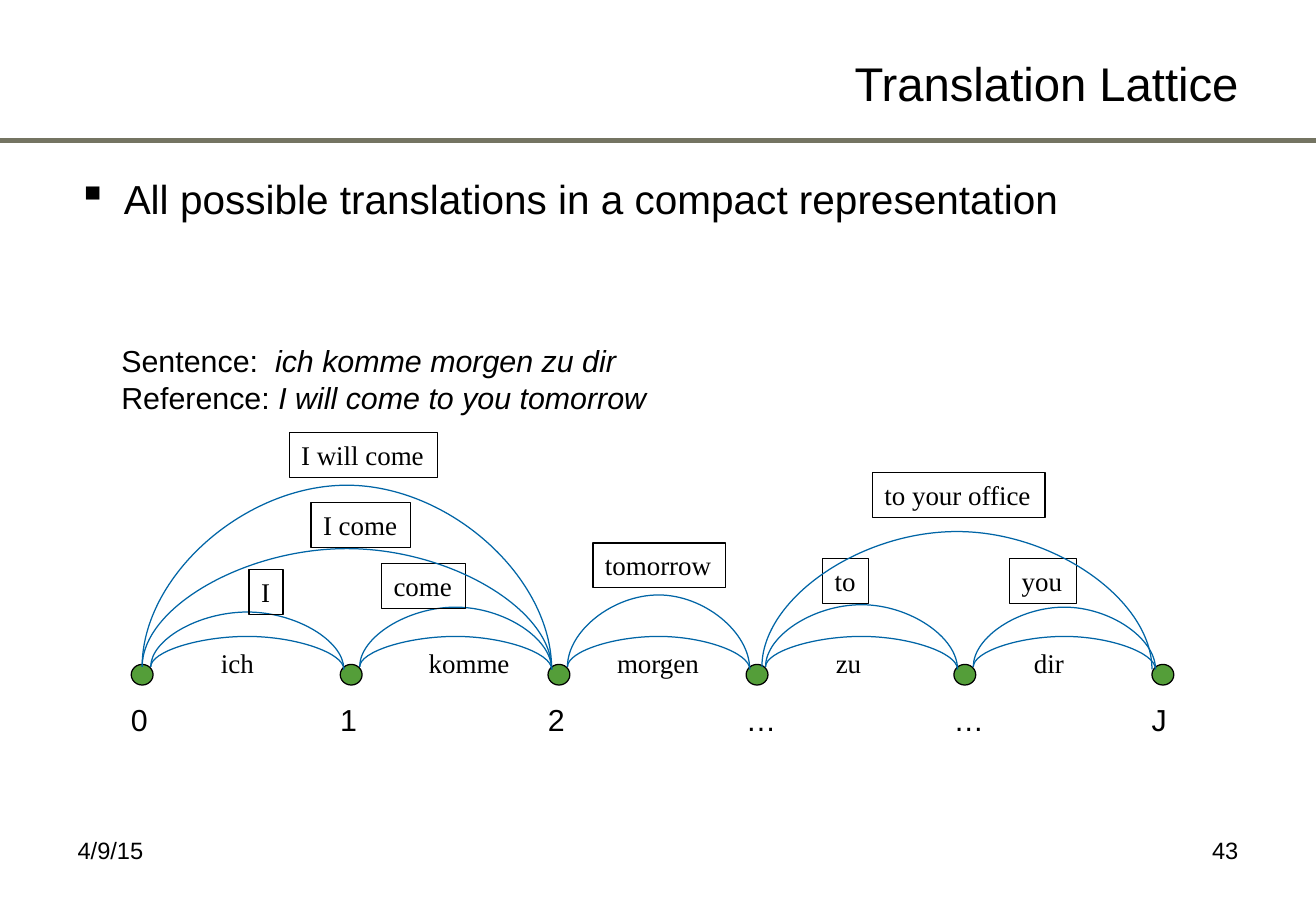
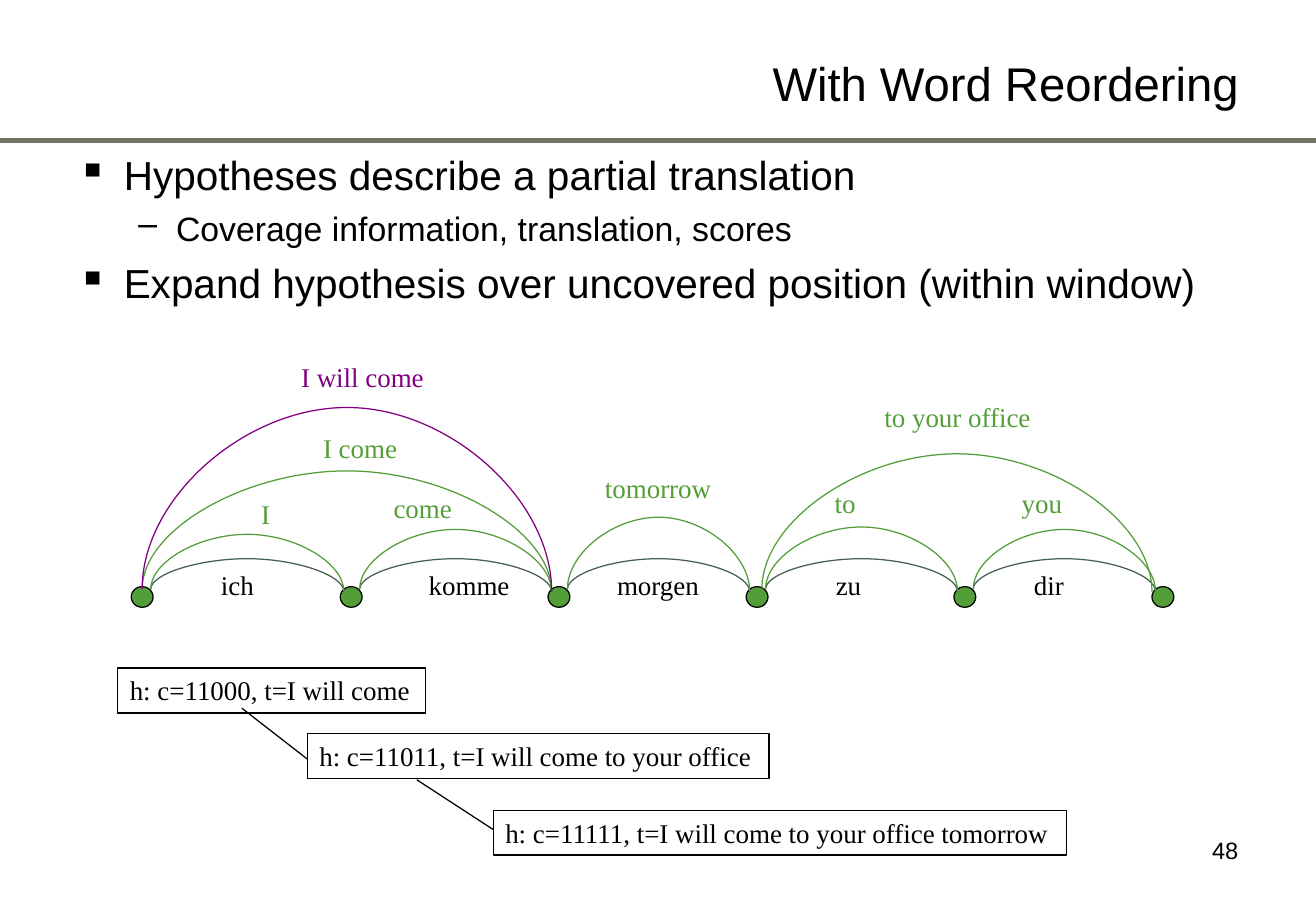
from typing import NamedTuple

import pptx
import pptx.dml.color
import pptx.enum.shapes
import pptx.enum.text
import pptx.oxml.ns
import pptx.oxml.xmlchemy
import pptx.presentation
import pptx.shapes.connector
import pptx.slide
import pptx.text.text
import pptx.util
from pptx.dml.color import RGBColor
from pptx.util import Inches

BLACK = RGBColor(0x00, 0x00, 0x00)
RULE_GREY = RGBColor(0x74, 0x74, 0x62)
BLUE = RGBColor(0x00, 0x65, 0xA6)
GREEN = RGBColor(0x54, 0x9E, 0x39)
DARK_GREEN = RGBColor(0x45, 0x5F, 0x51)
PURPLE = RGBColor(0x80, 0x00, 0x80)

SANS = "Arial"
SERIF = "Times New Roman"
SLIDE_WIDTH = 10.83
LABEL_HEIGHT = 0.37
THIN = 0.75

CONNECTOR = pptx.enum.shapes.MSO_CONNECTOR
ALIGN = pptx.enum.text.PP_ALIGN
ANCHOR = pptx.enum.text.MSO_ANCHOR


class Box(NamedTuple):
    left: float
    top: float
    width: float
    height: float


class Point(NamedTuple):
    x: float
    y: float


class Word(NamedTuple):
    """A source word below the arc from one node to the next."""
    text: str
    left: float
    width: float


class Phrase(NamedTuple):
    """A translation; label_lift and rise are measured up from the nodes."""
    text: str
    left: float
    width: float
    label_lift: float
    first_node: int
    last_node: int
    rise: float
    start_shift: float = 0.16
    end_shift: float = 0.03


class BulletStyle(NamedTuple):
    character: str
    indent: float
    hanging: float
    size: int
    space_before: int


class Colors(NamedTuple):
    word_arc: RGBColor
    phrase_arc: RGBColor
    phrase_text: RGBColor
    longest_arc: RGBColor
    longest_text: RGBColor


NODE_LEFTS = (1.08, 2.8, 4.51, 6.14, 7.85, 9.48)
NODE_WIDTH, NODE_HEIGHT = 0.18, 0.17
ARC_DROP = 0.02
WORD_ARC_RISE = 0.25
WORDS = (
    Word("ich", 1.72, 0.48),
    Word("komme", 3.43, 0.88),
    Word("morgen", 4.98, 0.88),
    Word("zu", 6.78, 0.41),
    Word("dir", 8.41, 0.45),
)
LONGEST = "I will come"
PHRASES = (
    Phrase("I", 2.05, 0.28, 0.78, 0, 1, 0.45),
    Phrase("come", 3.14, 0.69, 0.83, 1, 2, 0.49),
    Phrase("tomorrow", 4.88, 1.09, 1.0, 2, 3, 0.59),
    Phrase("to", 6.77, 0.38, 0.87, 3, 4, 0.51),
    Phrase("you", 8.31, 0.55, 0.87, 4, 5, 0.49),
    Phrase("I come", 2.56, 0.82, 1.33, 0, 2, 0.97, start_shift=0.09),
    Phrase(LONGEST, 2.38, 1.22, 1.91, 0, 2, 1.49, start_shift=0.09),
    Phrase("to your office", 7.18, 1.42, 1.58, 3, 5, 1.11, 0.13, 0),
)
NODE_LABELS = (("0", 0.34), ("1", 0.34), ("2", 0.34), ("…", 0.45), ("…", 0.45), ("J", 0.33))

LEVELS = (
    BulletStyle("▪", 0.38, 0.38, 24, 6),
    BulletStyle("–", 0.81, 0.31, 20, 5),
)
LATTICE_COLORS = Colors(BLUE, BLUE, BLACK, BLUE, BLACK)
REORDERING_COLORS = Colors(DARK_GREEN, GREEN, GREEN, PURPLE, PURPLE)

HYPOTHESES = (
    ("h: c=11000, t=I will come", Box(0.97, 5.5, 2.53, LABEL_HEIGHT)),
    ("h: c=11011, t=I will come to your office", Box(2.53, 6.04, 3.8, LABEL_HEIGHT)),
    ("h: c=11111, t=I will come to your office tomorrow", Box(4.06, 6.67, 4.72, LABEL_HEIGHT)),
)
HYPOTHESIS_LINKS = (
    (Point(1.99, 5.83), Point(2.53, 6.25)),
    (Point(3.43, 6.42), Point(4.06, 6.83)),
)


def add_text(
    slide: pptx.slide.Slide,
    box: Box,
    text: str,
    size: int,
    font: str = SANS,
    color: RGBColor = BLACK,
    align: ALIGN = ALIGN.LEFT,
    wrap: bool = True,
    outlined: bool = False,
) -> pptx.text.text.TextFrame:
    shape = slide.shapes.add_textbox(*map(Inches, box))
    if outlined:
        shape.line.color.rgb = BLACK
        shape.line.width = pptx.util.Pt(THIN)
    text_frame = shape.text_frame
    text_frame.word_wrap = wrap
    text_frame.text = text
    for paragraph in text_frame.paragraphs:
        paragraph.alignment = align
        for run in paragraph.runs:
            run.font.name = font
            run.font.size = pptx.util.Pt(size)
            run.font.color.rgb = color
    return text_frame


def add_label(
    slide: pptx.slide.Slide, box: Box, text: str, color: RGBColor = BLACK, outlined: bool = False
) -> None:
    add_text(slide, box, text, 16, SERIF, color, wrap=False, outlined=outlined)


def add_line(
    slide: pptx.slide.Slide,
    start: Point,
    end: Point,
    color: RGBColor = BLACK,
    weight: float = THIN,
    kind: CONNECTOR = CONNECTOR.STRAIGHT,
) -> pptx.shapes.connector.Connector:
    line = slide.shapes.add_connector(kind, *map(Inches, (*start, *end)))
    line.line.color.rgb = color
    line.line.width = pptx.util.Pt(weight)
    line._element.spPr.append(pptx.oxml.xmlchemy.OxmlElement("a:effectLst"))
    return line


def add_arc(
    slide: pptx.slide.Slide, start_x: float, end_x: float, top: float, rise: float, color: RGBColor
) -> None:
    """Turn an upright curved connector a quarter so that it bows upwards."""
    span = end_x - start_x
    left = (start_x + end_x - ARC_DROP) / 2
    box_top = top + (ARC_DROP - span) / 2
    arc = add_line(
        slide,
        Point(left, box_top + span),
        Point(left + ARC_DROP, box_top),
        color,
        kind=CONNECTOR.CURVE,
    )
    properties = arc._element.spPr
    properties.find(pptx.oxml.ns.qn("a:xfrm")).set("rot", str(90 * 60000))
    geometry = properties.find(pptx.oxml.ns.qn("a:prstGeom"))
    adjustments = geometry.find(pptx.oxml.ns.qn("a:avLst"))
    if adjustments is None:
        adjustments = pptx.oxml.xmlchemy.OxmlElement("a:avLst")
        geometry.append(adjustments)
    guide = pptx.oxml.xmlchemy.OxmlElement("a:gd")
    guide.set("name", "adj1")
    guide.set("fmla", f"val {round(-rise / ARC_DROP * 100000)}")
    adjustments.append(guide)


def add_node(slide: pptx.slide.Slide, left: float, top: float) -> None:
    node = slide.shapes.add_shape(
        pptx.enum.shapes.MSO_SHAPE.OVAL, *map(Inches, (left, top, NODE_WIDTH, NODE_HEIGHT))
    )
    node.shadow.inherit = False
    node.fill.solid()
    node.fill.fore_color.rgb = GREEN
    node.line.color.rgb = BLACK
    node.line.width = pptx.util.Pt(THIN)


def add_lattice(slide: pptx.slide.Slide, top: float, colors: Colors, outlined: bool) -> None:
    arc_top = top + ARC_DROP
    for left in NODE_LEFTS:
        add_node(slide, left, top)
    for word, left, next_left in zip(WORDS, NODE_LEFTS, NODE_LEFTS[1:]):
        add_arc(slide, left + 0.16, next_left + 0.03, arc_top, WORD_ARC_RISE, colors.word_arc)
        add_label(slide, Box(word.left, top - 0.2, word.width, LABEL_HEIGHT), word.text)
    for phrase in PHRASES:
        longest = phrase.text == LONGEST
        add_arc(
            slide,
            NODE_LEFTS[phrase.first_node] + phrase.start_shift,
            NODE_LEFTS[phrase.last_node] + phrase.end_shift,
            arc_top,
            phrase.rise,
            colors.longest_arc if longest else colors.phrase_arc,
        )
        add_label(
            slide,
            Box(phrase.left, top - phrase.label_lift, phrase.width, LABEL_HEIGHT),
            phrase.text,
            colors.longest_text if longest else colors.phrase_text,
            outlined,
        )


def add_bullets(slide: pptx.slide.Slide, box: Box, items: list[tuple[int, str]]) -> None:
    text_frame = add_text(slide, box, "\n".join(text for _, text in items), LEVELS[0].size)
    for index, (paragraph, (level, _)) in enumerate(zip(text_frame.paragraphs, items)):
        style = LEVELS[level]
        paragraph.level = level
        if index:
            paragraph.space_before = pptx.util.Pt(style.space_before)
        properties = paragraph._p.get_or_add_pPr()
        properties.set("marL", str(Inches(style.indent)))
        properties.set("indent", str(-Inches(style.hanging)))
        bullet = pptx.oxml.xmlchemy.OxmlElement("a:buChar")
        bullet.set("char", style.character)
        properties.append(bullet)
        paragraph.runs[0].font.size = pptx.util.Pt(style.size)


def add_base_slide(
    presentation: pptx.presentation.Presentation, title: str, number: str
) -> pptx.slide.Slide:
    slide = presentation.slides.add_slide(presentation.slide_layouts[6])
    add_line(slide, Point(0, 1.16), Point(SLIDE_WIDTH, 1.16), RULE_GREY, 3)
    title_frame = add_text(slide, Box(3.11, 0.19, 7.18, 0.98), title, 28, align=ALIGN.RIGHT)
    title_frame.vertical_anchor = ANCHOR.MIDDLE
    add_text(slide, Box(7.76, 6.83, 2.53, 0.52), number, 14, align=ALIGN.RIGHT)
    return slide


def add_lattice_slide(presentation: pptx.presentation.Presentation) -> None:
    slide = add_base_slide(presentation, "Translation Lattice", "43")
    add_text(slide, Box(0.54, 6.83, 2.53, 0.52), "4/9/15", 14)
    add_bullets(
        slide,
        Box(0.54, 1.38, 9.75, 5.32),
        [(0, "All possible translations in a compact representation")],
    )
    examples = add_text(slide, Box(0.9, 2.77, 5.42, 0.71), "Sentence:  \nReference: ", 18)
    sentences = ("ich komme morgen zu dir", "I will come to you tomorrow")
    for paragraph, sentence in zip(examples.paragraphs, sentences):
        run = paragraph.add_run()
        run.text = sentence
        run.font.name = SANS
        run.font.size = pptx.util.Pt(18)
        run.font.color.rgb = BLACK
        run.font.italic = True
    node_top = 5.47
    add_lattice(slide, node_top, LATTICE_COLORS, outlined=True)
    for left, (text, width) in zip(NODE_LEFTS, NODE_LABELS):
        add_text(slide, Box(left - 0.1, node_top + 0.25, width, 0.4), text, 18, wrap=False)


def add_reordering_slide(presentation: pptx.presentation.Presentation) -> None:
    slide = add_base_slide(presentation, "With Word Reordering", "48")
    add_bullets(
        slide,
        Box(0.54, 1.19, 9.69, 2.2),
        [
            (0, "Hypotheses describe a partial translation"),
            (1, "Coverage information, translation, scores"),
            (0, "Expand hypothesis over uncovered position (within window)"),
        ],
    )
    add_lattice(slide, 4.83, REORDERING_COLORS, outlined=False)
    for text, box in HYPOTHESES:
        add_label(slide, box, text, outlined=True)
    for start, end in HYPOTHESIS_LINKS:
        add_line(slide, start, end)


def main() -> None:
    presentation = pptx.Presentation()
    presentation.slide_width = Inches(SLIDE_WIDTH)
    presentation.slide_height = Inches(7.5)
    add_lattice_slide(presentation)
    add_reordering_slide(presentation)
    presentation.save("out.pptx")


if __name__ == "__main__":
    main()
